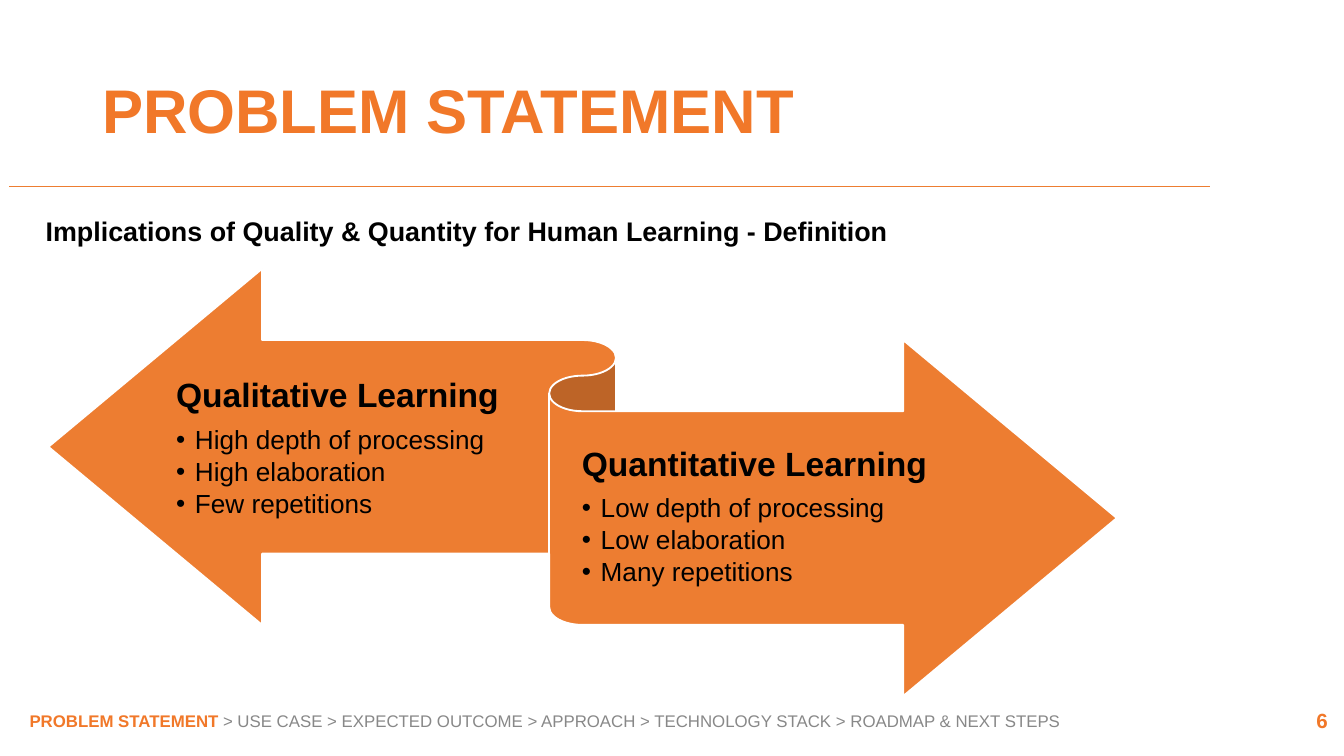
from dataclasses import dataclass

import lxml.etree
import pptx
import pptx.dml.color
import pptx.enum.shapes
import pptx.enum.text
import pptx.oxml.ns
import pptx.util

Inches = pptx.util.Inches
Pt = pptx.util.Pt
Align = pptx.enum.text.PP_ALIGN
Anchor = pptx.enum.text.MSO_ANCHOR


@dataclass(frozen=True)
class Theme:
    font: str = "Arial"
    accent: str = "F17829"
    ribbon: str = "ED7D31"
    edge: str = "FFFFFF"
    ink: str = "000000"
    muted: str = "888888"
    title: float = 33
    head: float = 18
    lead: float = 14.4
    body: float = 14
    page: float = 11
    trail: float = 9


@dataclass(frozen=True)
class Box:
    left: float
    top: float
    width: float
    height: float

    def emu(self) -> tuple:
        return tuple(Inches(n) for n in (self.left, self.top, self.width, self.height))


@dataclass(frozen=True)
class Side:
    box: Box
    head: str
    points: tuple[str, ...]


THEME = Theme()
WIDTH = 10
HEIGHT = WIDTH * 9 / 16
INSET = (0.07, 0.04)
SIDES = (
    Side(Box(1.31, 2.56, 2.62, 1.56), "Qualitative Learning",
         ("High depth of processing", "High elaboration", "Few repetitions")),
    Side(Box(4.33, 3.07, 3.1, 1.56), "Quantitative Learning",
         ("Low depth of processing", "Low elaboration", "Many repetitions")),
)


def color(code: str):
    return pptx.dml.color.RGBColor.from_string(code)


def set_frame(frame, inset: tuple[float, float], anchor=Anchor.MIDDLE) -> None:
    frame.word_wrap = True
    frame.auto_size = pptx.enum.text.MSO_AUTO_SIZE.NONE
    frame.vertical_anchor = anchor
    frame.margin_left = frame.margin_right = Inches(inset[0])
    frame.margin_top = frame.margin_bottom = Inches(inset[1])


def add_frame(slide, box: Box, inset=INSET, anchor=Anchor.MIDDLE):
    frame = slide.shapes.add_textbox(*box.emu()).text_frame
    set_frame(frame, inset, anchor)
    return frame


def add_run(para, text: str, size: float, ink: str, bold: bool = True) -> None:
    run = para.add_run()
    run.text = text
    run.font.name = THEME.font
    run.font.size = Pt(size)
    run.font.bold = bold
    run.font.color.rgb = color(ink)


def add_bullet(para) -> None:
    """Give the paragraph a hanging bullet in the ink colour."""
    props = para._p.get_or_add_pPr()
    props.set("marL", str(Inches(0.14)))
    props.set("indent", str(-Inches(0.14)))
    tag = pptx.oxml.ns.qn
    tint = lxml.etree.SubElement(props, tag("a:buClr"))
    lxml.etree.SubElement(tint, tag("a:srgbClr"), val=THEME.ink)
    lxml.etree.SubElement(props, tag("a:buFont"), typeface=THEME.font)
    lxml.etree.SubElement(props, tag("a:buChar"), char="•")


def add_title(slide, box: Box, text: str) -> None:
    title = slide.shapes.title
    title.left, title.top, title.width, title.height = box.emu()
    set_frame(title.text_frame, INSET)
    para = title.text_frame.paragraphs[0]
    para.alignment = Align.LEFT
    para.line_spacing = 0.9
    add_run(para, text, THEME.title, THEME.accent)


def add_rule(slide, left: float, right: float, top: float) -> None:
    rule = slide.shapes.add_connector(
        pptx.enum.shapes.MSO_CONNECTOR.STRAIGHT,
        Inches(left), Inches(top), Inches(right), Inches(top))
    rule.line.color.rgb = color(THEME.ribbon)
    rule.line.width = Pt(0.75)
    lxml.etree.SubElement(rule._element.spPr, pptx.oxml.ns.qn("a:effectLst"))


def add_ribbon(slide, box: Box) -> None:
    ribbon = slide.shapes.add_shape(
        pptx.enum.shapes.MSO_SHAPE.LEFT_RIGHT_RIBBON, *box.emu())
    ribbon.shadow.inherit = False
    ribbon.fill.solid()
    ribbon.fill.fore_color.rgb = color(THEME.ribbon)
    ribbon.line.color.rgb = color(THEME.edge)
    ribbon.line.width = Pt(1)


def add_side(slide, side: Side) -> None:
    frame = add_frame(slide, side.box, (0, 0.07))
    para = frame.paragraphs[0]
    para.line_spacing = 0.9
    add_run(para, side.head, THEME.head, THEME.ink)
    for rank, point in enumerate(side.points):
        para = frame.add_paragraph()
        para.level = 1
        para.line_spacing = 0.9
        para.space_before = Pt(2 if rank else 6)
        add_bullet(para)
        add_run(para, point, THEME.body, THEME.ink, False)


def add_footer(slide) -> None:
    page = add_frame(slide, Box(7.7, 5.21, 2.25, 0.3)).paragraphs[0]
    page.alignment = Align.RIGHT
    add_run(page, "6", THEME.page, THEME.accent)
    trail = add_frame(slide, Box(0.15, 5.21, 8.16, 0.3)).paragraphs[0]
    add_run(trail, "PROBLEM STATEMENT ", THEME.trail, THEME.accent)
    add_run(trail, "> USE CASE > EXPECTED OUTCOME > APPROACH > TECHNOLOGY STACK"
            " > ROADMAP & NEXT STEPS", THEME.trail, THEME.muted, False)


def main() -> None:
    deck = pptx.Presentation()
    deck.slide_width, deck.slide_height = Inches(WIDTH), Inches(HEIGHT)
    slide = deck.slides.add_slide(deck.slide_layouts[5])
    add_title(slide, Box(0.69, 0.3, 8.62, 1.09), "PROBLEM STATEMENT")
    add_footer(slide)
    for right in (6.1, 9):
        add_rule(slide, 0.07, right, 1.39)
    add_ribbon(slide, Box(0.36, 2, 7.95, 3.18))
    for side in SIDES:
        add_side(slide, side)
    lead = add_frame(slide, Box(0.27, 1.62, 7.53, 0.35), anchor=Anchor.TOP).paragraphs[0]
    lead.line_spacing = 0.7
    add_run(lead, "Implications of Quality & Quantity for Human Learning - Definition",
            THEME.lead, THEME.ink)
    deck.save("out.pptx")


if __name__ == "__main__":
    main()
